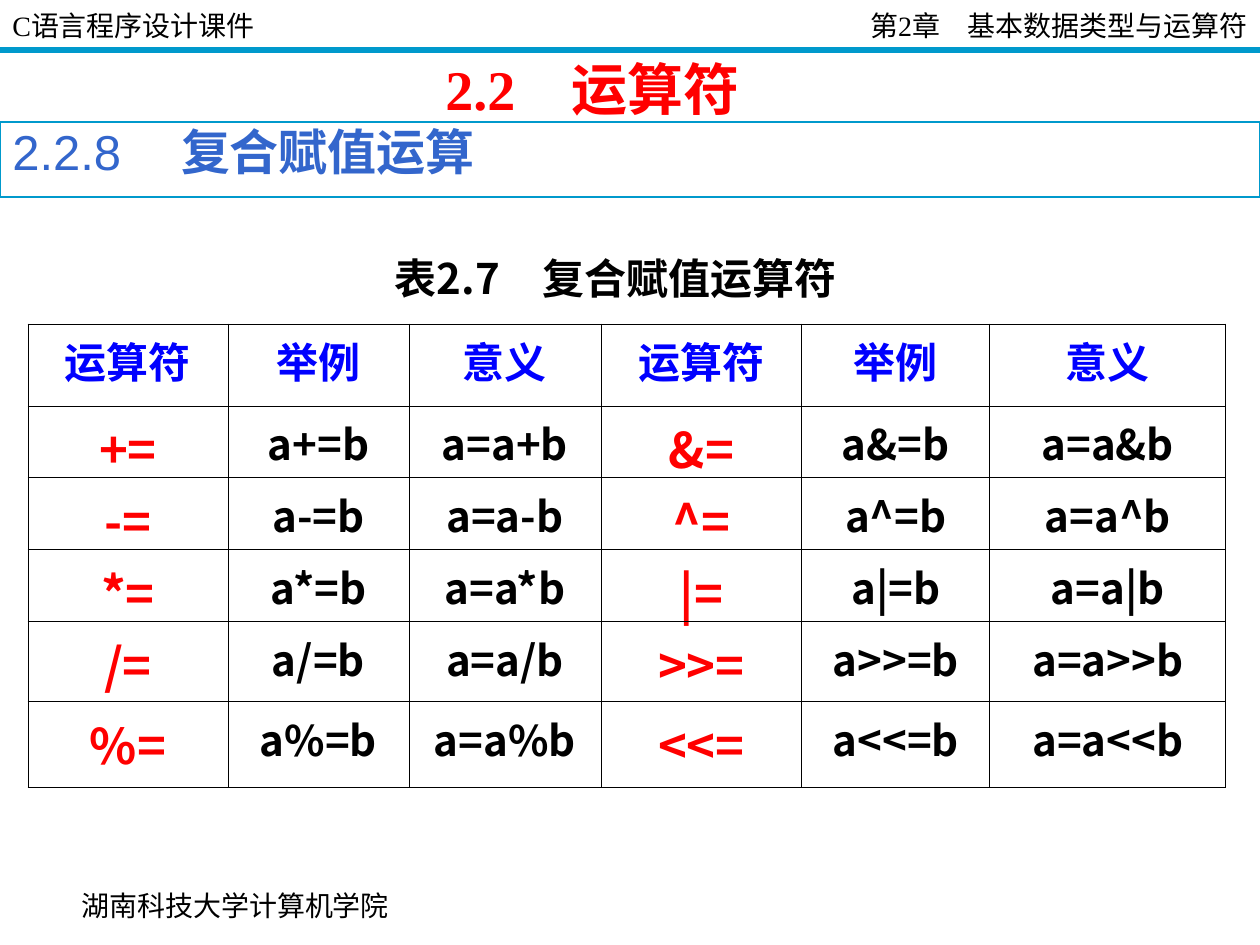
import pptx
import pptx.dml.color
import pptx.enum.shapes
import pptx.enum.text
import pptx.oxml
import pptx.oxml.ns
import pptx.util

EMU_PER_PX = 914400 // 126
ALIGN = pptx.enum.text.PP_ALIGN
ANCHOR = pptx.enum.text.MSO_ANCHOR


class Theme:
    serif, sans, cjk = "Times New Roman", "Arial", "Noto Sans CJK SC"
    black, red, blue = "000000", "FF0000", "0000FF"
    rule, section = "0099CC", "3366CC"
    small, body, large, title = 16, 24, 28, 32
    rule_width, frame_width, grid_width = 3, 0.75, 0.45


def px(n):
    return pptx.util.Emu(n * EMU_PER_PX)


def rgb(value):
    return pptx.dml.color.RGBColor.from_string(value)


def add_xml(parent, xml):
    """Append an element; {ns} in the text stands for the a: namespace."""
    element = pptx.oxml.parse_xml(xml.format(ns=pptx.oxml.ns.nsdecls("a")))
    parent.append(element)


class SlideBuilder:
    def __init__(self, prs, theme):
        self.theme = theme
        self.slide = prs.slides.add_slide(prs.slide_layouts[6])

    def style(self, r, font, size, color, bold=False):
        r.font.name = font
        r.font.size = pptx.util.Pt(size)
        r.font.bold = bold
        r.font.color.rgb = rgb(color)
        add_xml(r.font._element,
                '<a:ea {ns} typeface="%s"/>' % self.theme.cjk)

    def rule(self, x1, y1, x2, y2):
        line = self.slide.shapes.add_connector(
            pptx.enum.shapes.MSO_CONNECTOR.STRAIGHT,
            px(x1), px(y1), px(x2), px(y2))
        line.line.color.rgb = rgb(self.theme.rule)
        line.line.width = pptx.util.Pt(self.theme.rule_width)
        add_xml(line._element.spPr, "<a:effectLst {ns}/>")

    def text(self, box, text, font, size, color, bold=False,
             align=ALIGN.LEFT, anchor=ANCHOR.MIDDLE, wrap=True, grow=False):
        tf = self.slide.shapes.add_textbox(*map(px, box)).text_frame
        tf.word_wrap = wrap
        tf.vertical_anchor = anchor
        if grow:
            tf.auto_size = pptx.enum.text.MSO_AUTO_SIZE.SHAPE_TO_FIT_TEXT
        p = tf.paragraphs[0]
        p.text = text
        p.alignment = align
        for r in p.runs:
            self.style(r, font, size, color, bold)
        return p

    def right_tab(self, p, position):
        add_xml(p._p.get_or_add_pPr(),
                '<a:tabLst {ns}><a:tab pos="%d" algn="r"/></a:tabLst>'
                % px(position))

    def section_bar(self, box, number, heading):
        t = self.theme
        sp = self.slide.shapes.add_shape(
            pptx.enum.shapes.MSO_SHAPE.RECTANGLE, *map(px, box))
        sp.shadow.inherit = False
        sp.fill.background()
        sp.line.color.rgb = rgb(t.rule)
        sp.line.width = pptx.util.Pt(t.frame_width)
        tf = sp.text_frame
        tf.margin_top = 0
        tf.vertical_anchor = ANCHOR.TOP
        p = tf.paragraphs[0]
        p.alignment = ALIGN.LEFT
        for text, font, bold in ((number, t.sans, False),
                                 (heading, t.cjk, True)):
            r = p.add_run()
            r.text = text
            self.style(r, font, t.large, t.section, bold)

    def cell(self, cell, text, size, color):
        cell.text = text
        cell.fill.background()
        p = cell.text_frame.paragraphs[0]
        p.alignment = ALIGN.CENTER
        self.style(p.runs[0], self.theme.cjk, size, color, True)
        tc_pr = cell._tc.get_or_add_tcPr()
        for i, side in enumerate(("lnL", "lnR", "lnT", "lnB")):
            tc_pr.insert(i, pptx.oxml.parse_xml(
                '<a:%s %s w="%d"><a:solidFill><a:srgbClr val="%s"/>'
                '</a:solidFill></a:%s>'
                % (side, pptx.oxml.ns.nsdecls("a"),
                   pptx.util.Pt(self.theme.grid_width),
                   self.theme.black, side)))

    def operator_table(self, x, y, widths, heights, header, rows):
        t = self.theme
        table = self.slide.shapes.add_table(
            len(heights), len(widths), px(x), px(y),
            px(sum(widths)), px(sum(heights))).table
        table.first_row = table.horz_banding = False
        for column, width in zip(table.columns, widths):
            column.width = px(width)
        for row, height in zip(table.rows, heights):
            row.height = px(height)
        for c, text in enumerate(header):
            self.cell(table.cell(0, c), text, t.body, t.blue)
        for n, row in enumerate(rows, 1):
            for c, text in enumerate(row):
                is_operator = c % 3 == 0
                self.cell(table.cell(n, c), text,
                          t.large if is_operator else t.body,
                          t.red if is_operator else t.black)


def operator_cells(op):
    """Operator, example and meaning of one compound assignment."""
    return [f"{op}=", f"a{op}=b", f"a=a{op}b"]


def main():
    prs = pptx.Presentation()
    prs.slide_width, prs.slide_height = px(1260), px(945)
    t = Theme()
    s = SlideBuilder(prs, t)

    s.rule(0, 50, 1260, 50)
    header = s.text((0, 3, 1260, 45),
                    "C语言程序设计课件\t第2章\u3000基本数据类型与运算符",
                    t.serif, t.small, t.black)
    s.right_tab(header, 1235)
    s.text((57, 874, 357, 63), "湖南科技大学计算机学院",
           t.serif, t.small, t.black, align=ALIGN.CENTER, wrap=False)
    s.text((433, 48, 407, 81), "2.2\u3000运算符", t.serif, t.title, t.red,
           bold=True, anchor=ANCHOR.TOP, grow=True)
    s.section_bar((0, 122, 1260, 75), "2.2.8\u3000 ", "复合赋值运算")

    pairs = zip("+-*/%", ("&", "^", "|", ">>", "<<"))
    s.operator_table(
        28, 324, (200, 181, 192, 201, 188, 236), (82, 71, 72, 72, 80, 86),
        ("运算符", "举例", "意义") * 2,
        [operator_cells(a) + operator_cells(b) for a, b in pairs])
    s.text((374, 246, 483, 63), "表2.7\u3000复合赋值运算符",
           t.cjk, t.body, t.black, bold=True, align=ALIGN.CENTER, grow=True)
    prs.save("out.pptx")


if __name__ == "__main__":
    main()
